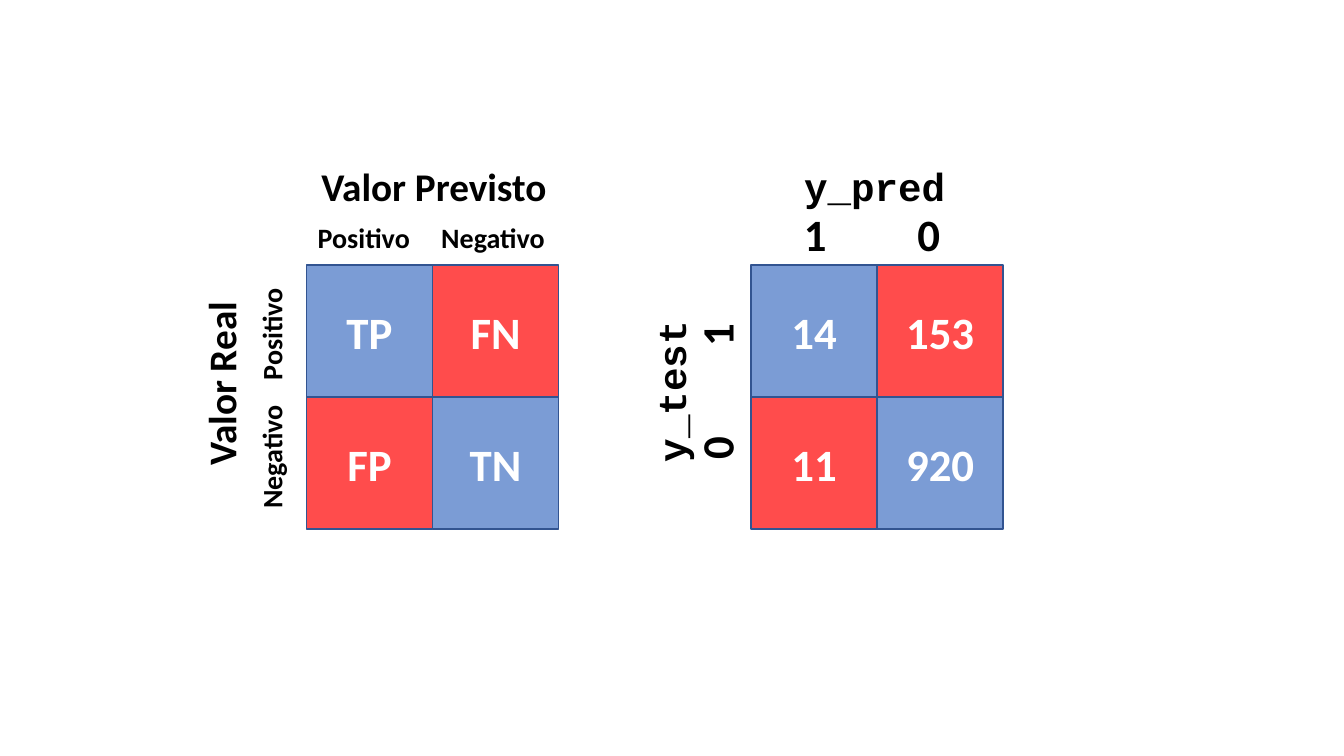
from lxml import etree
from pptx import Presentation
from pptx.dml.color import RGBColor
from pptx.enum.shapes import MSO_SHAPE as SHAPE
from pptx.enum.text import MSO_ANCHOR as ANCHOR, MSO_AUTO_SIZE as AUTO, PP_ALIGN as ALIGN
from pptx.oxml.ns import qn
from pptx.util import Inches, Pt

COLORS = {"hit": "4472C4", "miss": "FF0000", "border": "325491",
          "text": "000000", "value": "FFFFFF"}
CELL_W, CELL_H = 1.25, 1.31
INSET = 0.1

MATRICES = [
    {"origin": (3.04, 2.63),
     "values": [["TP", "FN"], ["FP", "TN"]],
     "labels": [
         {"text": "Positivo\tNegativo", "at": (1, -0.21), "cols": 1.98, "size": 20, "tab": 0.98},
         {"text": "Negativo\tPositivo", "at": (-0.28, 1), "cols": 1.93, "size": 20, "tab": 1.02,
          "rotation": 270},
         {"text": "Valor Previsto", "at": (1.01, -0.6), "cols": 1.97, "size": 28},
         {"text": "Valor Real", "at": (-0.68, 0.9), "cols": 1.48, "size": 28, "rotation": 270}]},
    {"origin": (7.45, 2.63),
     "values": [["14", "153"], ["11", "920"]],
     "labels": [
         {"text": "1\t0", "at": (1.01, -0.24), "cols": 1.34, "size": 32, "tab": 0.9},
         {"text": "y_pred", "at": (0.98, -0.6), "cols": 1.29, "size": 28, "font": "Courier New"},
         {"text": "y_test", "at": (-0.64, 0.96), "cols": 1.29, "size": 28, "font": "Courier New",
          "rotation": 270},
         {"text": "0\t1", "at": (-0.28, 0.95), "cols": 1.26, "size": 32, "tab": 0.9,
          "rotation": 270}]},
]


def rgb(name):
    """Return the named colour."""
    return RGBColor.from_string(COLORS[name])


def write(p, text, size, color, font="Calibri"):
    """Write bold text into a paragraph."""
    r = p.add_run()
    r.text = text
    for key, value in {"name": font, "size": Pt(size), "bold": True}.items():
        setattr(r.font, key, value)
    r.font.color.rgb = rgb(color)


def add_cell(s, x, y, text, kind):
    """Draw one translucent matrix cell with its value."""
    sp = s.shapes.add_shape(SHAPE.RECTANGLE, Inches(x), Inches(y), Inches(CELL_W), Inches(CELL_H))
    sp.shadow.inherit = False
    sp.fill.solid()
    sp.fill.fore_color.rgb = rgb(kind)
    clr = sp._element.spPr.find(qn("a:solidFill"))[0]
    etree.SubElement(clr, qn("a:alpha")).set("val", "70000")
    sp.line.color.rgb = rgb("border")
    sp.line.width = Pt(1)
    sp.text_frame.vertical_anchor = ANCHOR.MIDDLE
    p = sp.text_frame.paragraphs[0]
    p.alignment = ALIGN.CENTER
    write(p, text, 32, "value")


def add_label(s, x, y, text, at, cols, size, font="Calibri", tab=None, rotation=0):
    """Place a label centred on a grid point, with an optional tab stop between two words."""
    w, h = cols * CELL_W, size * 1.2 / 72 + INSET
    left, top = x + at[0] * CELL_W - w / 2, y + at[1] * CELL_H - h / 2
    sp = s.shapes.add_textbox(Inches(left), Inches(top), Inches(w), Inches(h))
    sp.rotation = rotation
    tf = sp.text_frame
    tf.auto_size = AUTO.SHAPE_TO_FIT_TEXT
    tf.word_wrap = tab is not None
    p = tf.paragraphs[0]
    p.alignment = ALIGN.LEFT if tab else ALIGN.CENTER
    if tab:
        tf.margin_right = 0
        stops = etree.SubElement(p._p.get_or_add_pPr(), qn("a:tabLst"))
        stop = etree.SubElement(stops, qn("a:tab"))
        stop.set("pos", str(Inches(tab * CELL_W)))
        stop.set("algn", "l")
    write(p, text, size, "text", font)


def add_matrix(s, origin, values, labels):
    """Draw a confusion matrix and its labels from the grid's top left corner."""
    x, y = origin
    for row, line in enumerate(values):
        for col, text in enumerate(line):
            kind = "hit" if row == col else "miss"
            add_cell(s, x + col * CELL_W, y + row * CELL_H, text, kind)
    for label in labels:
        add_label(s, x, y, **label)


def main():
    """Build and save the slide."""
    prs = Presentation()
    prs.slide_width, prs.slide_height = Inches(13.33), Inches(7.5)
    s = prs.slides.add_slide(prs.slide_layouts[6])
    for matrix in MATRICES:
        add_matrix(s, **matrix)
    prs.save("out.pptx")


if __name__ == "__main__":
    main()
